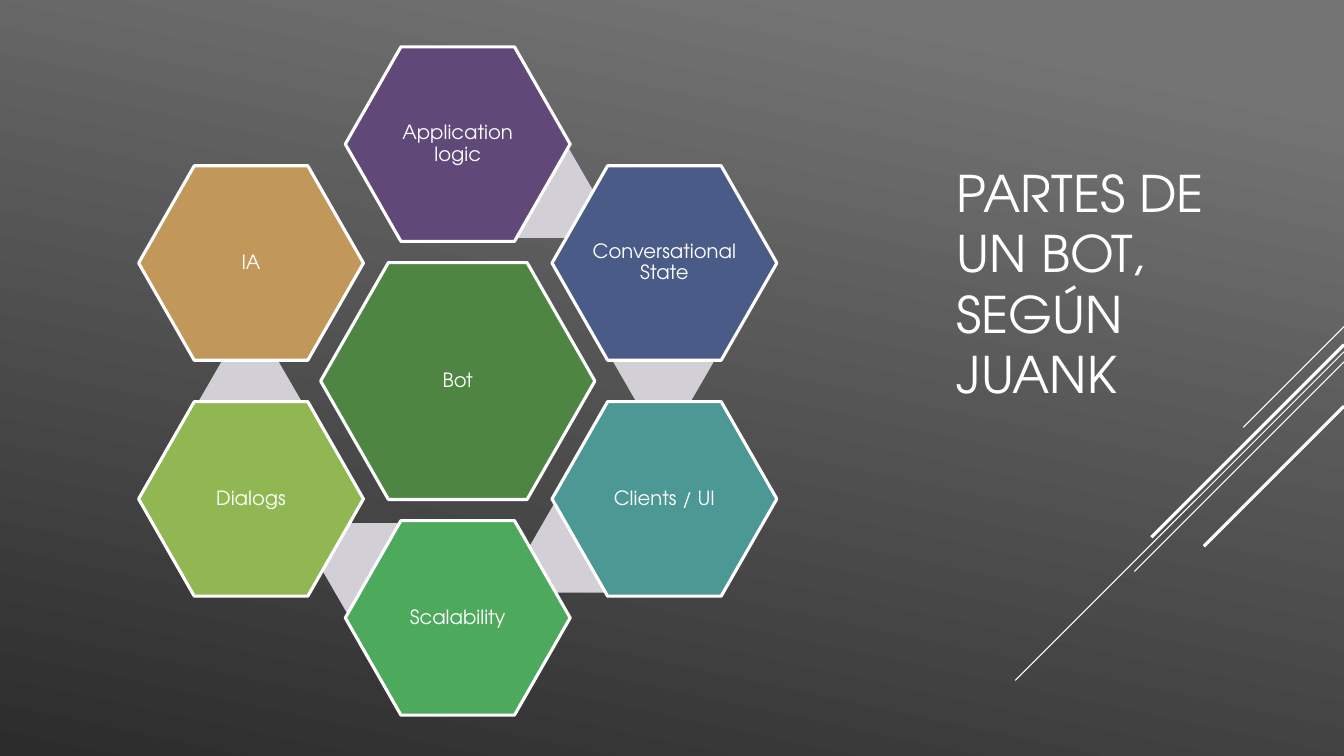
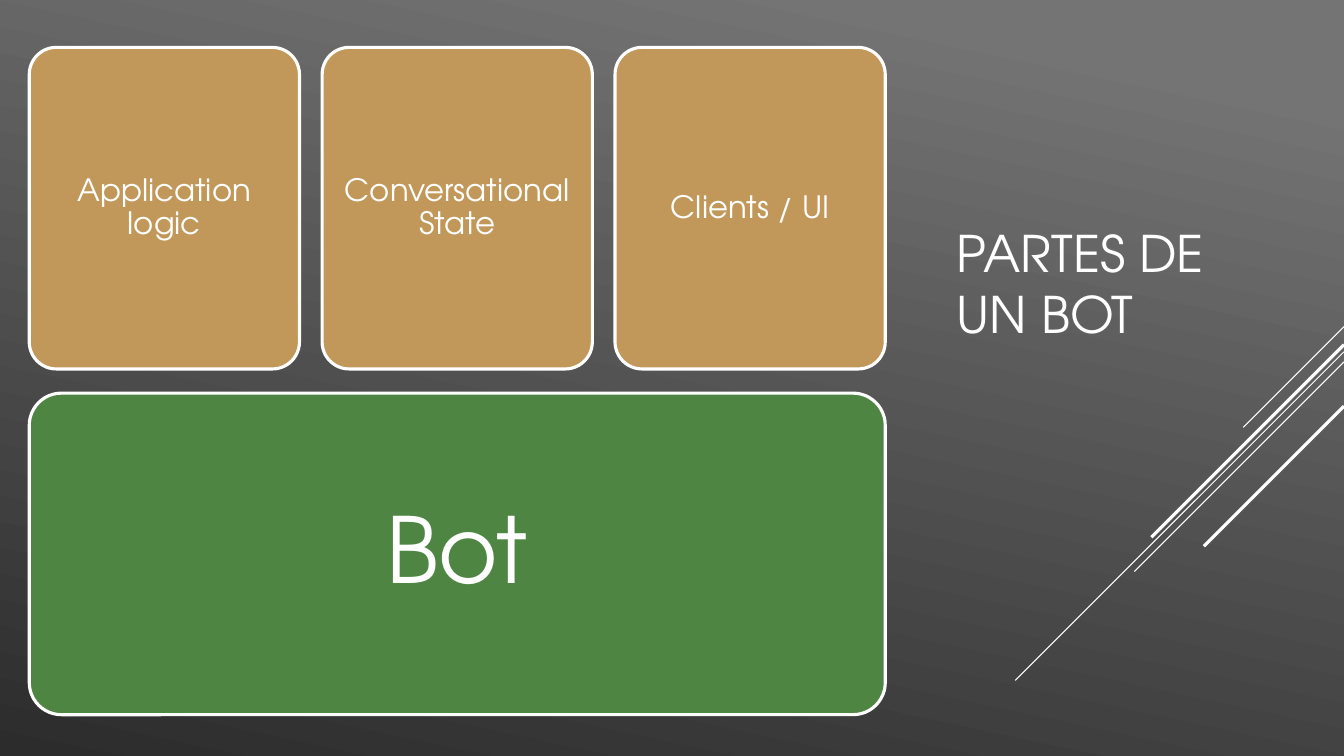
from lxml import etree
from pptx import Presentation
from pptx.dml.color import RGBColor
from pptx.enum.shapes import MSO_CONNECTOR, MSO_SHAPE
from pptx.enum.text import MSO_ANCHOR, MSO_AUTO_SIZE, PP_ALIGN
from pptx.oxml.ns import qn
from pptx.util import Inches, Pt

STRAIGHT = MSO_CONNECTOR.STRAIGHT
HEXAGON = MSO_SHAPE.HEXAGON
ROUNDED = MSO_SHAPE.ROUNDED_RECTANGLE
MIDDLE = MSO_ANCHOR.MIDDLE
NO_AUTOFIT = MSO_AUTO_SIZE.NONE
LEFT = PP_ALIGN.LEFT
CENTER = PP_ALIGN.CENTER

WHITE = RGBColor(0xFF, 0xFF, 0xFF)
LIGHT_GRAY = RGBColor(0x74, 0x74, 0x74)
DARK_GRAY = RGBColor(0x2C, 0x2C, 0x2C)
PALE = RGBColor(0xD2, 0xCF, 0xD6)
GREEN = RGBColor(0x4E, 0x85, 0x42)
PURPLE = RGBColor(0x60, 0x48, 0x78)
BLUE = RGBColor(0x4A, 0x5B, 0x88)
TEAL = RGBColor(0x4C, 0x98, 0x94)
EMERALD = RGBColor(0x4D, 0xA9, 0x5C)
LIME = RGBColor(0x90, 0xB7, 0x51)
TAN = RGBColor(0xC1, 0x98, 0x59)

FONT = "TeX Gyre Adventor"
SLIDE_WIDTH = 13.33
SLIDE_HEIGHT = 7.5
THIN = 0.75
THICK = 2.25
DIAGONALS = [
    (3.24, 1.0, THIN),
    (3.49, 3.26, THIN),
    (3.59, 2.08, THIN),
    (3.42, 1.91, THICK),
    (4.03, 1.39, THICK),
]


class BotDeck:
    def __init__(self):
        self.deck = Presentation()
        self.deck.slide_width = Inches(SLIDE_WIDTH)
        self.deck.slide_height = Inches(SLIDE_HEIGHT)
        self.slide = None
        self.paint_background()

    def paint_background(self):
        fill = self.deck.slide_master.background.fill
        fill.gradient()
        fill.gradient_angle = 258
        stops = zip(fill.gradient_stops, (0.1, 1.0), (LIGHT_GRAY, DARK_GRAY))
        for stop, position, color in stops:
            stop.position = position
            stop.color.rgb = color

    def add_page(self, title):
        self.slide = self.deck.slides.add_slide(self.deck.slide_layouts[5])
        for top, reach, width in DIAGONALS:
            self.add_diagonal(top, reach, width)
        box = self.slide.shapes.title
        box.left, box.top = Inches(9.39), Inches(1.03)
        box.width, box.height = Inches(3.33), Inches(3.55)
        self.set_text(box, title, 36, LEFT)

    def add_diagonal(self, top, reach, width):
        line = self.slide.shapes.add_connector(
            STRAIGHT,
            Inches(SLIDE_WIDTH),
            Inches(top),
            Inches(SLIDE_WIDTH - reach),
            Inches(top + reach),
        )
        line.line.color.rgb = WHITE
        line.line.width = Pt(width)
        etree.SubElement(line._element.spPr, qn("a:effectLst"))

    def add_block(self, kind, left, top, width, height, color, adjustment):
        block = self.slide.shapes.add_shape(
            kind, Inches(left), Inches(top), Inches(width), Inches(height)
        )
        block.shadow.inherit = False
        block.adjustments[0] = adjustment
        block.fill.solid()
        block.fill.fore_color.rgb = color
        block.line.color.rgb = WHITE
        block.line.width = Pt(THICK)
        return block

    def add_hexagon(self, center, size, color, text):
        x, y = center
        width, height = size
        block = self.add_block(
            HEXAGON, x - width / 2, y - height / 2, width, height, color, 0.286
        )
        self.set_text(block, text, 14, CENTER, 0.02, 0.9)

    def add_link(self, left, top):
        link = self.add_block(HEXAGON, left, top, 1.02, 0.88, PALE, 0.289)
        link.line.fill.background()

    def add_tile(self, left, top, width, height, color, text, size, inset):
        tile = self.add_block(ROUNDED, left, top, width, height, color, 0.1)
        self.set_text(tile, text, size, CENTER, inset, 0.9)

    def set_text(self, box, text, size, alignment, inset=0.1, spacing=1.0):
        frame = box.text_frame
        frame.text = text
        frame.word_wrap = True
        frame.auto_size = NO_AUTOFIT
        frame.vertical_anchor = MIDDLE
        frame.margin_left = frame.margin_right = Inches(inset)
        frame.margin_top = frame.margin_bottom = Inches(inset)
        para = frame.paragraphs[0]
        para.alignment = alignment
        para.line_spacing = spacing
        for span in para.runs:
            span.font.name = FONT
            span.font.size = Pt(size)
            span.font.color.rgb = WHITE


def build_hexagon_page(pages):
    pages.add_page("PARTES DE UN BOT, SEGÚN JUANK")
    x, y = 4.54, 3.78
    side, far, near = 2.05, 2.35, 1.17
    links = [(4.88, 1.48), (6.07, 3.13), (5.24, 5.0), (3.18, 5.19), (1.97, 3.54)]
    parts = [
        (0, -far, PURPLE, "Application logic"),
        (side, -near, BLUE, "Conversational State"),
        (side, near, TEAL, "Clients / UI"),
        (0, far, EMERALD, "Scalability"),
        (-side, near, LIME, "Dialogs"),
        (-side, -near, TAN, "IA"),
    ]
    pages.add_hexagon((x, y), (2.72, 2.35), GREEN, "Bot")
    for left, top in links:
        pages.add_link(left, top)
    for across, down, color, text in parts:
        pages.add_hexagon((x + across, y + down), (2.23, 1.93), color, text)


def build_tile_page(pages):
    pages.add_page("PARTES DE UN BOT")
    left, top, total, height = 0.29, 0.47, 8.49, 3.19
    width = 2.68
    parts = ["Application logic", "Conversational State", "Clients / UI"]
    step = (total - width) / (len(parts) - 1)
    pages.add_tile(left, 3.9, total, height, GREEN, "Bot", 65, 0.27)
    for column, text in enumerate(parts):
        pages.add_tile(
            left + column * step, top, width, height, TAN, text, 22, 0.09
        )


def main():
    pages = BotDeck()
    build_hexagon_page(pages)
    build_tile_page(pages)
    pages.deck.save("out.pptx")


if __name__ == "__main__":
    main()
